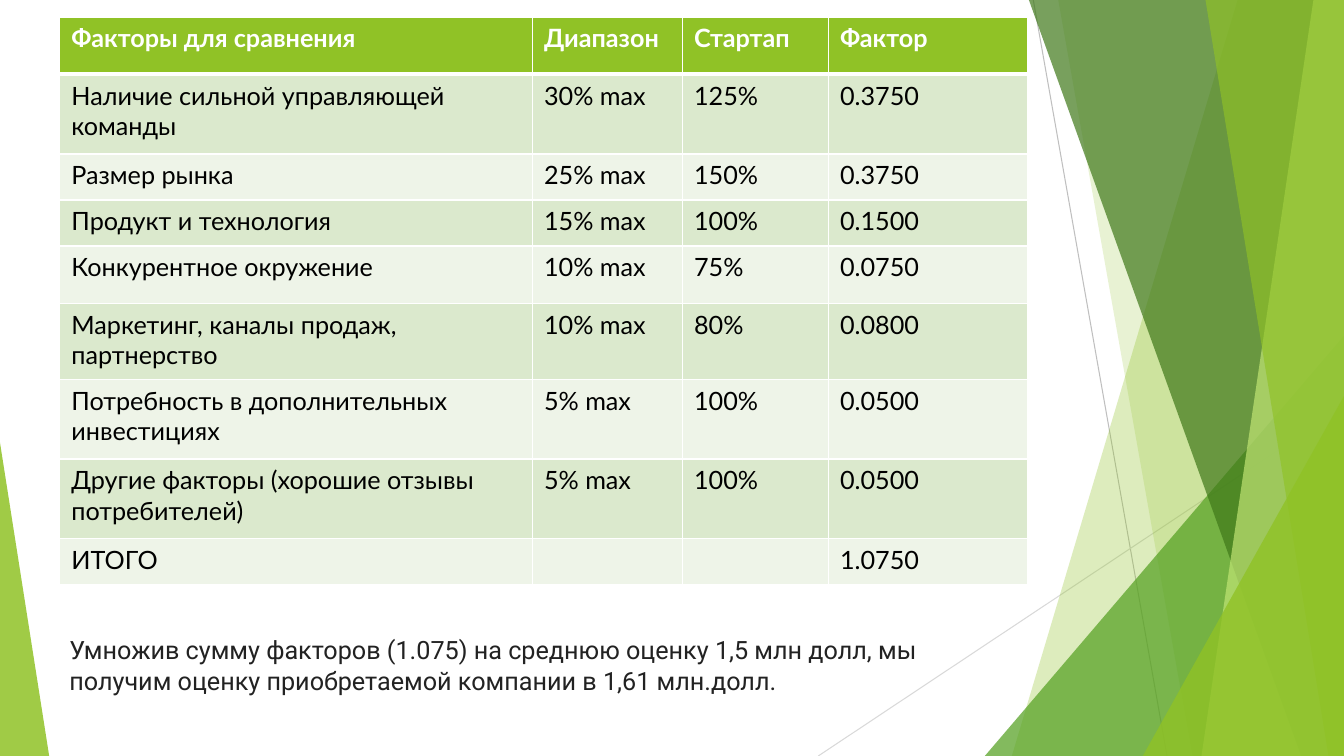
from lxml.etree import SubElement
from pptx import Presentation
from pptx.dml.color import RGBColor
from pptx.enum.shapes import MSO_CONNECTOR, MSO_SHAPE
from pptx.oxml import parse_xml
from pptx.oxml.ns import nsdecls, qn
from pptx.util import Cm, Pt

COLOURS = {
    "lime": "90C226", "green": "54A021", "forest": "3F7819", "pale lime": "C0E474",
    "odd row": "DBE9CD", "even row": "EEF4E8", "white": "FFFFFF", "black": "000000",
    "note": "222222", "grey": "BFBFBF", "light grey": "D9D9D9",
}
WIDTH, HEIGHT = 33.87, 19.05


def rgb(name):
    return RGBColor.from_string(COLOURS[name])


def format_text(frame, colour, **font_values):
    for paragraph in frame.paragraphs:
        for key, value in font_values.items():
            setattr(paragraph.font, key, value)
        paragraph.font.color.rgb = rgb(colour)
        for run in paragraph.runs:
            for key, value in font_values.items():
                setattr(run.font, key, value)
            run.font.color.rgb = rgb(colour)


prs = Presentation()
prs.slide_width, prs.slide_height = Cm(WIDTH), Cm(HEIGHT)
slide = prs.slides.add_slide(prs.slide_layouts[6])
shapes = slide.shapes

# Thin lines behind the facets
for x1, y1, x2, y2, colour in [
    (26.04, 0, 29.41, HEIGHT, "grey"),
    (WIDTH, 10.24, 20.62, HEIGHT, "light grey"),
]:
    ray = shapes.add_connector(MSO_CONNECTOR.STRAIGHT, Cm(x1), Cm(y1), Cm(x2), Cm(y2))
    ray.line.color.rgb = rgb(colour)
    ray.line.width = Pt(0.75)
    SubElement(ray._element.spPr, qn("a:effectLst"))

# Facets: (x at top, x at bottom) runs to the right edge of the slide;
# (left, top, width, apex) is a triangle standing on the bottom edge
facets = [
    ((31.19, 25.5), "lime", 30),
    ((26.67, 30.05), "lime", 20),
    ((24.82, 8.46, 9.05, 1), "green", 72),
    ((25.93, 32.79), "forest", 70),
    ((33.1, 30.28), "pale lime", 70),
    ((30.38, 33.48), "lime", 65),
    ((28.8, 9.98, 5.07, 1), "lime", 80),
    ((0, 11.15, 1.24, 0), "lime", 85),
]
for geometry, colour, opacity in facets:
    if len(geometry) == 2:
        top_x, bottom_x = geometry
        outline = shapes.build_freeform(Cm(top_x), 0)
        outline.add_line_segments([
            (Cm(WIDTH), 0), (Cm(WIDTH), Cm(HEIGHT)), (Cm(bottom_x), Cm(HEIGHT)),
        ])
        facet = outline.convert_to_shape()
    else:
        left, top, width, apex = geometry
        facet = shapes.add_shape(
            MSO_SHAPE.ISOSCELES_TRIANGLE, Cm(left), Cm(top), Cm(width), Cm(HEIGHT - top))
        facet.adjustments[0] = apex
    facet.shadow.inherit = False
    facet.line.fill.background()
    facet.fill.solid()
    facet.fill.fore_color.rgb = rgb(colour)
    tint = facet._element.spPr.find(qn("a:solidFill"))[0]
    SubElement(tint, qn("a:alpha"), val=str(opacity * 1000))

# Table of factors
factors = [
    ("Факторы для сравнения", "Диапазон", "Стартап", "Фактор"),
    ("Наличие сильной управляющей команды", "30% max", "125%", "0.3750"),
    ("Размер рынка", "25% max", "150%", "0.3750"),
    ("Продукт и технология", "15% max", "100%", "0.1500"),
    ("Конкурентное окружение", "10% max", "75%", "0.0750"),
    ("Маркетинг, каналы продаж, партнерство", "10% max", "80%", "0.0800"),
    ("Потребность в дополнительных инвестициях", "5% max", "100%", "0.0500"),
    ("Другие факторы (хорошие отзывы потребителей)", "5% max", "100%", "0.0500"),
    ("ИТОГО", "", "", "1.0750"),
]
column_widths = [11.91, 3.78, 3.68, 5.03]
row_heights = [1.44, 2.01, 1.16, 1.16, 1.45, 1.91, 2.01, 2.01, 1.16]
cell_margins = {"margin_left": Cm(0.3), "margin_right": Cm(0.3),
                "margin_top": Cm(0.15), "margin_bottom": Cm(0.23)}

table = shapes.add_table(
    len(row_heights), len(column_widths), Cm(1.5), Cm(0.43),
    Cm(sum(column_widths)), Cm(sum(row_heights))).table
for column, width in zip(table.columns, column_widths):
    column.width = Cm(width)
for row, height in zip(table.rows, row_heights):
    row.height = Cm(height)

for r, factor in enumerate(factors):
    is_header = r == 0
    background = "lime" if is_header else "odd row" if r % 2 else "even row"
    for c, value in enumerate(factor):
        cell = table.cell(r, c)
        cell.text = value
        for key, margin in cell_margins.items():
            setattr(cell, key, margin)
        format_text(cell.text_frame, "white" if is_header else "black",
                    name="Lato", size=Pt(18), bold=is_header)
        cell.fill.solid()
        cell.fill.fore_color.rgb = rgb(background)
        borders = {"lnL": 1, "lnR": 1, "lnT": 3 if r == 1 else 1, "lnB": 3 if is_header else 1}
        for position, (side, points) in enumerate(borders.items()):
            cell._tc.get_or_add_tcPr().insert(position, parse_xml(
                f'<a:{side} {nsdecls("a")} w="{Pt(points)}"><a:solidFill>'
                f'<a:srgbClr val="{COLOURS["white"]}"/></a:solidFill></a:{side}>'))

# Conclusion
conclusion = shapes.add_textbox(Cm(1.5), Cm(15.87), Cm(24.4), Cm(1.9)).text_frame
conclusion.word_wrap = True
conclusion.text = ("Умножив сумму факторов (1.075) на среднюю оценку 1,5 млн долл, мы "
                   "получим оценку приобретаемой компании в 1,61 млн.долл.")
format_text(conclusion, "note", name="Roboto", size=Pt(18))

prs.save("out.pptx")
